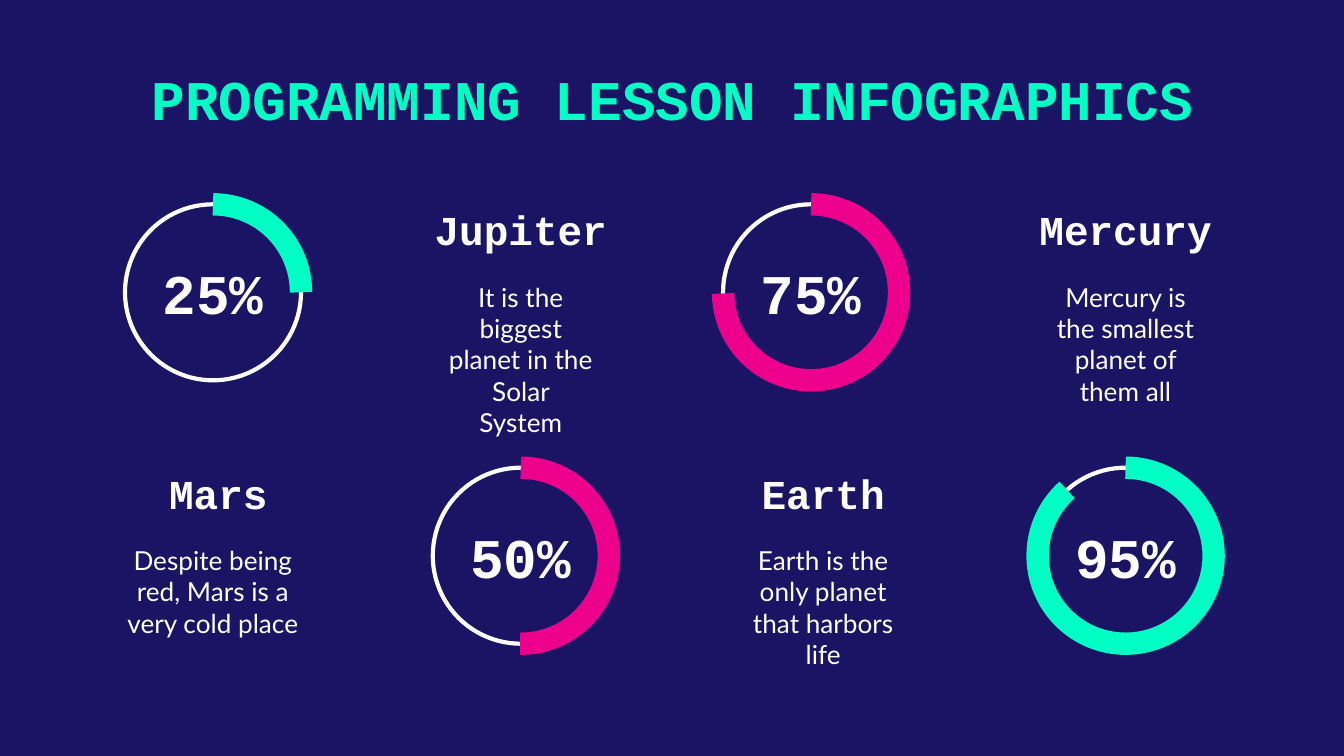
import pptx
import pptx.util
import pptx.dml.color
import pptx.enum.shapes
import pptx.enum.text
from pptx.util import Inches

COLORS = {"navy": "1B1464", "mint": "00FFC5", "pink": "EC008C", "white": "FFFFFF"}
HEADING_FONT, BODY_FONT = "Courier New", "Lato"

TITLE = "PROGRAMMING LESSON INFOGRAPHICS"
# One entry per column; arc_end is in degrees clockwise from three o'clock
PLANETS = [
    dict(name="Mars", text="Despite being red, Mars is a very cold place", percent="25%",
         color="mint", arc_end=0, ring_shift=0.14, insets=(0.1, 0.18)),
    dict(name="Jupiter", text="It is the biggest planet in the Solar System", percent="50%",
         color="pink", arc_end=90.46, ring_shift=0.18, insets=(0.3, 0.3)),
    dict(name="Earth", text="Earth is the only planet that harbors life", percent="75%",
         color="pink", arc_end=179.27, ring_shift=0.09, insets=(0.3, 0.3)),
    dict(name="Mercury", text="Mercury is the smallest planet of them all", percent="95%",
         color="mint", arc_end=228.35, ring_shift=0.18, insets=(0.3, 0.3)),
]

# Grid in inches
SLIDE_WIDTH = 10
SLIDE_HEIGHT = SLIDE_WIDTH * 9 / 16
COLUMN_LEFT, COLUMN_STEP, COLUMN_WIDTH = 0.79, 2.25, 1.67
ROW_TOPS = (1.52, 3.48)
RING_SIZE = 1.31
NAME_HEIGHT, TEXT_HEIGHT = 0.47, 0.82
PERCENT_SHIFT, PERCENT_HEIGHT = 0.43, 0.45
ARC_START = 270
ARC_UNITS_PER_DEGREE = 0.6

ANCHOR = pptx.enum.text.MSO_ANCHOR
SHAPE = pptx.enum.shapes.MSO_SHAPE


def rgb(name):
    return pptx.dml.color.RGBColor.from_string(COLORS[name])


def write(box, text, size, font, color="white", bold=True,
          anchor=ANCHOR.TOP, sides=(0.1, 0.1), ends=0.1):
    frame = box.text_frame
    frame.text = text
    frame.word_wrap = True
    frame.auto_size = pptx.enum.text.MSO_AUTO_SIZE.NONE
    frame.vertical_anchor = anchor
    frame.margin_left, frame.margin_right = map(Inches, sides)
    frame.margin_top = frame.margin_bottom = Inches(ends)
    para = frame.paragraphs[0]
    para.alignment = pptx.enum.text.PP_ALIGN.CENTER
    span = para.runs[0]
    span.font.name = font
    span.font.size = pptx.util.Pt(size)
    span.font.bold = bold
    span.font.color.rgb = rgb(color)


def add_text(page, left, top, width, height, *args, **options):
    box = page.shapes.add_textbox(*map(Inches, (left, top, width, height)))
    write(box, *args, **options)


def add_outline(page, kind, left, top, color, weight):
    shape = page.shapes.add_shape(
        kind, *map(Inches, (left, top, RING_SIZE, RING_SIZE)))
    shape.shadow.inherit = False
    shape.fill.background()
    shape.line.color.rgb = rgb(color)
    shape.line.width = pptx.util.Pt(weight)
    return shape


def add_ring(page, planet, left, top):
    add_outline(page, SHAPE.OVAL, left, top, "white", 2.25)
    arc = add_outline(page, SHAPE.ARC, left, top, planet["color"], 12)
    arc.adjustments[0] = ARC_START * ARC_UNITS_PER_DEGREE
    arc.adjustments[1] = planet["arc_end"] * ARC_UNITS_PER_DEGREE
    add_text(page, left, top + PERCENT_SHIFT, RING_SIZE, PERCENT_HEIGHT,
             planet["percent"], 30, HEADING_FONT, anchor=ANCHOR.MIDDLE, ends=0)


def add_description(page, planet, left, top):
    add_text(page, left, top, COLUMN_WIDTH, NAME_HEIGHT,
             planet["name"], 22, HEADING_FONT, anchor=ANCHOR.BOTTOM)
    add_text(page, left, top + NAME_HEIGHT, COLUMN_WIDTH, TEXT_HEIGHT,
             planet["text"], 14, BODY_FONT, bold=False, sides=planet["insets"])


def main():
    deck = pptx.Presentation()
    deck.slide_width, deck.slide_height = Inches(SLIDE_WIDTH), Inches(SLIDE_HEIGHT)
    page = deck.slides.add_slide(deck.slide_layouts[5])
    page.background.fill.solid()
    page.background.fill.fore_color.rgb = rgb("navy")

    # Title
    title = page.shapes.title
    title.left, title.top, title.width, title.height = map(
        Inches, (0.79, 0.38, 8.43, 0.73))
    write(title, TITLE, 30, HEADING_FONT, "mint")

    # Rings and descriptions swap rows from one column to the next
    for column, planet in enumerate(PLANETS):
        left = COLUMN_LEFT + column * COLUMN_STEP
        ring_row = column % 2
        add_ring(page, planet, left + planet["ring_shift"], ROW_TOPS[ring_row])
        add_description(page, planet, left, ROW_TOPS[1 - ring_row])

    deck.save("out.pptx")


if __name__ == "__main__":
    main()
